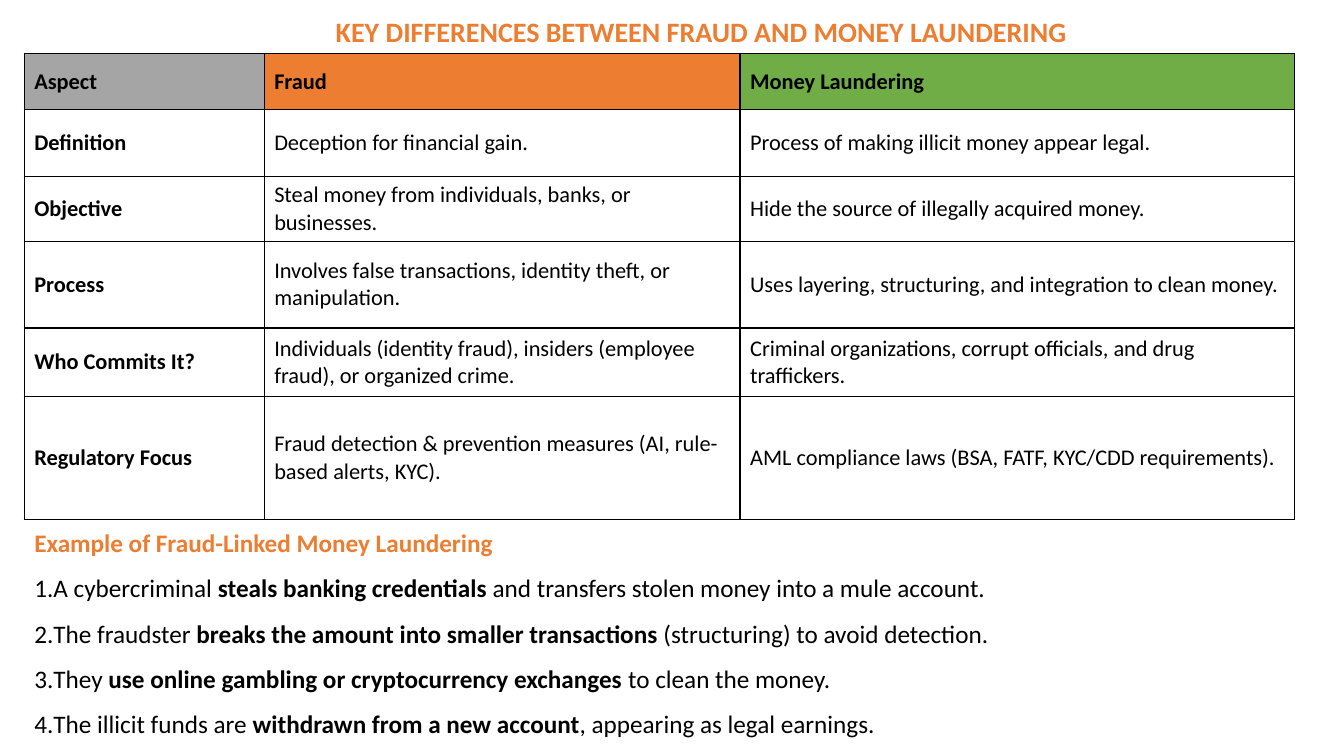
from typing import NamedTuple

from lxml.etree import SubElement
from pptx import Presentation
from pptx.dml.color import RGBColor
from pptx.enum.text import MSO_ANCHOR as Anchor, MSO_AUTO_SIZE as AutoSize, PP_ALIGN as Align
from pptx.oxml import parse_xml
from pptx.oxml.ns import nsdecls, qn
from pptx.util import Inches, Pt

COLORS = {
    "text": "000000",
    "accent": "ED7D31",
    "aspect": "A5A5A5",
    "fraud": "ED7D31",
    "laundering": "70AD47",
}
FONT = "Calibri"


class Box(NamedTuple):
    left: float
    top: float
    width: float
    height: float


class Comparison(NamedTuple):
    aspect: str
    fraud: str
    laundering: str


class Step(NamedTuple):
    opening: str
    emphasis: str
    ending: str


TITLE = "KEY DIFFERENCES BETWEEN FRAUD AND MONEY LAUNDERING"
TITLE_BOX = Box(3.23, 0.09, 8.69, 0.44)
TABLE_BOX = Box(0.24, 0.53, 12.6, 4.58)
EXAMPLE_BOX = Box(0.24, 5.03, 12.6, 2.37)
COLUMN_WIDTHS = (2.38, 4.72, 5.5)
ROW_HEIGHTS = (0.56, 0.66, 0.6, 0.86, 0.68, 1.22)

COMPARISONS = (
    Comparison("Aspect", "Fraud", "Money Laundering"),
    Comparison("Definition", "Deception for financial gain.",
               "Process of making illicit money appear legal."),
    Comparison("Objective", "Steal money from individuals, banks, or businesses.",
               "Hide the source of illegally acquired money."),
    Comparison("Process", "Involves false transactions, identity theft, or manipulation.",
               "Uses layering, structuring, and integration to clean money."),
    Comparison("Who Commits It?",
               "Individuals (identity fraud), insiders (employee fraud), or organized crime.",
               "Criminal organizations, corrupt officials, and drug traffickers."),
    Comparison("Regulatory Focus",
               "Fraud detection & prevention measures (AI, rule-based alerts, KYC).",
               "AML compliance laws (BSA, FATF, KYC/CDD requirements)."),
)

EXAMPLE_HEADING = "Example of Fraud-Linked Money Laundering"
STEPS = (
    Step("A cybercriminal ", "steals banking credentials",
         " and transfers stolen money into a mule account."),
    Step("The fraudster ", "breaks the amount into smaller transactions",
         " (structuring) to avoid detection."),
    Step("They ", "use online gambling or cryptocurrency exchanges", " to clean the money."),
    Step("The illicit funds are ", "withdrawn from a new account",
         ", appearing as legal earnings."),
)


def format_run(run, size: float, color: str, bold: bool) -> None:
    run.font.name = FONT
    run.font.size = Pt(size)
    run.font.bold = bold
    run.font.color.rgb = RGBColor.from_string(COLORS[color])


def place(shape, box: Box, anchor: Anchor) -> None:
    shape.left, shape.top, shape.width, shape.height = map(Inches, box)
    shape.text_frame.word_wrap = True
    shape.text_frame.auto_size = AutoSize.NONE
    shape.text_frame.vertical_anchor = anchor


def add_borders(cell) -> None:
    """Draw a 1 pt line on each side; the lines must precede the fill in the XML."""
    properties = cell._tc.get_or_add_tcPr()
    for position, side in enumerate(("lnL", "lnR", "lnT", "lnB")):
        properties.insert(position, parse_xml(
            f'<a:{side} {nsdecls("a")} w="{Pt(1)}"><a:solidFill>'
            f'<a:srgbClr val="{COLORS["text"]}"/></a:solidFill></a:{side}>'))


def set_bullet(paragraph, numbered: bool) -> None:
    properties = paragraph._p.get_or_add_pPr()
    properties.set("marL", "0")
    properties.set("indent", "0")
    if numbered:
        SubElement(properties, qn("a:buFont"), typeface="+mj-lt")
        SubElement(properties, qn("a:buAutoNum"), type="arabicPeriod")
    else:
        SubElement(properties, qn("a:buNone"))


def write_title(shape) -> None:
    place(shape, TITLE_BOX, Anchor.MIDDLE)
    shape.text_frame.text = TITLE
    paragraph = shape.text_frame.paragraphs[0]
    paragraph.alignment = Align.LEFT
    format_run(paragraph.runs[0], 20, "accent", True)


def draw_comparison_table(slide) -> None:
    table = slide.shapes.add_table(
        len(COMPARISONS), len(COLUMN_WIDTHS), *map(Inches, TABLE_BOX)).table
    for column, width in zip(table.columns, COLUMN_WIDTHS):
        column.width = Inches(width)
    for row_index, comparison in enumerate(COMPARISONS):
        table.rows[row_index].height = Inches(ROW_HEIGHTS[row_index])
        for column_index, (field, text) in enumerate(comparison._asdict().items()):
            cell = table.cell(row_index, column_index)
            cell.vertical_anchor = Anchor.MIDDLE
            cell.text_frame.text = text
            is_header = row_index == 0
            format_run(cell.text_frame.paragraphs[0].runs[0], 16, "text",
                       is_header or column_index == 0)
            if is_header:
                cell.fill.solid()
                cell.fill.fore_color.rgb = RGBColor.from_string(COLORS[field])
            else:
                cell.fill.background()
            add_borders(cell)


def write_example(shape) -> None:
    place(shape, EXAMPLE_BOX, Anchor.TOP)
    frame = shape.text_frame
    frame.text = EXAMPLE_HEADING
    format_run(frame.paragraphs[0].runs[0], 18, "accent", True)
    for step in STEPS:
        paragraph = frame.add_paragraph()
        for text in step:
            run = paragraph.add_run()
            run.text = text
            format_run(run, 18, "text", text == step.emphasis)
    for index, paragraph in enumerate(frame.paragraphs):
        paragraph.line_spacing = 1.5
        paragraph.space_before = Pt(0)
        set_bullet(paragraph, numbered=index > 0)


def main() -> None:
    presentation = Presentation()
    presentation.slide_width = Inches(13.33)
    presentation.slide_height = Inches(7.5)
    slide = presentation.slides.add_slide(presentation.slide_layouts[1])
    write_title(slide.shapes.title)
    draw_comparison_table(slide)
    write_example(slide.placeholders[1])
    presentation.save("out.pptx")


if __name__ == "__main__":
    main()
